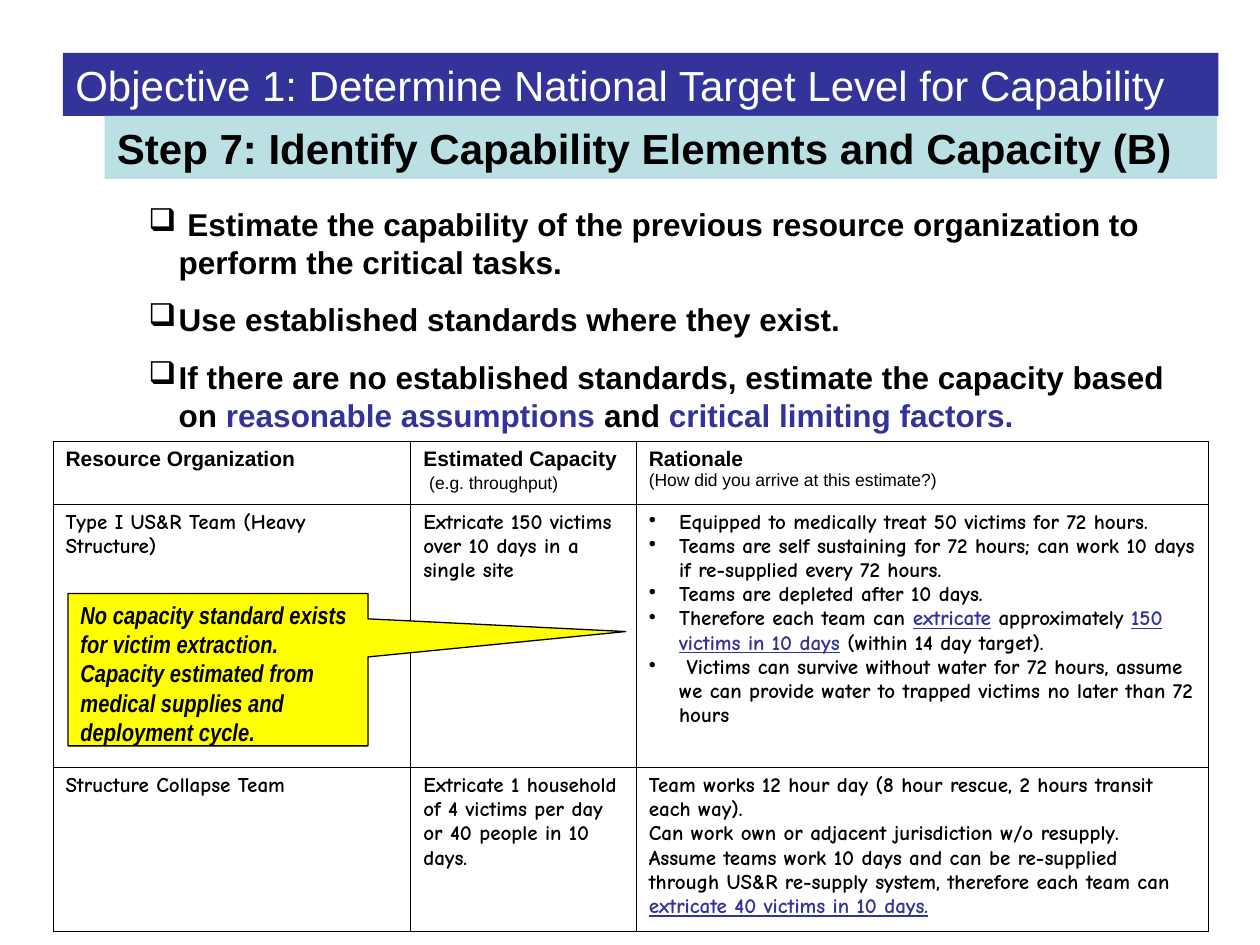
from dataclasses import dataclass

from lxml.etree import SubElement
from pptx import Presentation
from pptx.dml.color import RGBColor
from pptx.enum.shapes import MSO_SHAPE as Preset
from pptx.enum.text import MSO_ANCHOR as Anchor, PP_ALIGN as Align
from pptx.oxml.ns import qn
from pptx.util import Inches, Pt

BLACK = RGBColor(0x00, 0x00, 0x00)
WHITE = RGBColor(0xFF, 0xFF, 0xFF)
INDIGO = RGBColor(0x33, 0x33, 0x99)
PALE_BLUE = RGBColor(0xBB, 0xE0, 0xE3)
YELLOW = RGBColor(0xFF, 0xFF, 0x00)
HANG = Inches(0.24)


@dataclass
class Span:
    text: str
    size: float = 12
    font: str = "Comic Neue"
    color: RGBColor = BLACK
    bold: bool = True
    italic: bool = False
    underline: bool = False


@dataclass
class Block:
    left: float
    top: float
    width: float
    height: float
    fill: RGBColor
    span: Span
    preset: Preset = Preset.RECTANGLE
    anchor: Anchor = Anchor.MIDDLE
    outlined: bool = False
    adjustments: tuple = ()


@dataclass
class Cell:
    paragraphs: list
    bullet: str = ""


def key(text: str) -> Span:
    return Span(text, color=INDIGO, underline=True)


def heading(text: str, **style) -> Span:
    return Span(text, font="Arial", **style)


def point(text: str, **style) -> Span:
    return heading(text, size=18, **style)


def add_bullet(para, bullet: str) -> None:
    properties = para._p.get_or_add_pPr()
    properties.set("marL", str(HANG))
    properties.set("indent", str(-HANG))
    color = SubElement(properties, qn("a:buClr"))
    SubElement(color, qn("a:srgbClr"), val=str(BLACK))
    SubElement(properties, qn("a:buChar"), char=bullet)


def write(frame, paragraphs: list, *, bullet: str = "", gap: float = 0, anchor=Anchor.TOP) -> None:
    frame.word_wrap = True
    frame.vertical_anchor = anchor
    for index, spans in enumerate(paragraphs):
        para = frame.add_paragraph() if index else frame.paragraphs[0]
        para.alignment = Align.LEFT
        if index and gap:
            para.space_before = Pt(gap)
        if bullet:
            add_bullet(para, bullet)
        for span in spans:
            run = para.add_run()
            run.text = span.text
            font = run.font
            font.name, font.size = span.font, Pt(span.size)
            font.bold, font.italic, font.underline = span.bold, span.italic, span.underline
            font.color.rgb = span.color


def add_block(page, block: Block) -> None:
    box = page.shapes.add_shape(block.preset, Inches(block.left), Inches(block.top),
                                Inches(block.width), Inches(block.height))
    box.shadow.inherit = False
    box.fill.solid()
    box.fill.fore_color.rgb = block.fill
    if block.outlined:
        box.line.color.rgb = BLACK
        box.line.width = Pt(0.75)
    else:
        box.line.fill.background()
    for index, value in enumerate(block.adjustments):
        box.adjustments[index] = value
    write(box.text_frame, [[block.span]], anchor=block.anchor)


def add_borders(cell) -> None:
    properties = cell._tc.get_or_add_tcPr()
    for side in ("lnL", "lnR", "lnT", "lnB"):
        line = SubElement(properties, qn(f"a:{side}"), w=str(Pt(0.45)))
        fill = SubElement(line, qn("a:solidFill"))
        SubElement(fill, qn("a:srgbClr"), val=str(BLACK))


def add_grid(page, rows: list, widths: list, heights: list) -> None:
    table = page.shapes.add_table(len(rows), len(widths), Inches(0.42), Inches(3.5),
                                  Inches(sum(widths)), Inches(sum(heights))).table
    table.first_row = table.horz_banding = False
    for column, width in zip(table.columns, widths):
        column.width = Inches(width)
    for row, height, contents in zip(table.rows, heights, rows):
        row.height = Inches(height)
        for cell, content in zip(row.cells, contents):
            add_borders(cell)
            cell.fill.background()
            write(cell.text_frame, content.paragraphs, bullet=content.bullet)


BANNERS = [
    Block(0.5, 0.42, 9.17, 0.5, INDIGO,
          heading("Objective 1: Determine National Target Level for Capability",
                  size=24, color=WHITE, bold=False)),
    Block(0.83, 0.92, 8.83, 0.5, PALE_BLUE,
          heading("Step 7: Identify Capability Elements and Capacity (B)", size=24)),
]
CALLOUT = Block(
    0.54, 4.71, 2.38, 1.21, YELLOW,
    Span("No capacity standard exists for victim extraction. Capacity estimated from "
         "medical supplies and deployment cycle.", 14, "Arial Narrow", italic=True),
    Preset.RECTANGULAR_CALLOUT, Anchor.TOP, True, (1.36, -0.25))
GUIDANCE = [
    [point(" ", bold=False),
     point("Estimate the capability of the previous resource organization to perform the critical tasks.")],
    [point("Use established standards where they exist.")],
    [point("If there are no established standards, estimate the capacity based on "),
     point("reasonable assumptions", color=INDIGO), point(" and "),
     point("critical limiting factors.", color=INDIGO)],
]
ROWS = [
    [Cell([[heading("Resource Organization")]]),
     Cell([[heading("Estimated Capacity")],
           [heading(" ", bold=False), heading("(e.g. throughput)", size=10, bold=False)]]),
     Cell([[heading("Rationale")],
           [heading("(How did you arrive at this estimate?)", size=10, bold=False)]])],
    [Cell([[Span("Type I US&R Team (Heavy Structure)")]]),
     Cell([[Span("Extricate 150 victims over 10 days in a single site")]]),
     Cell([[Span("Equipped to medically treat 50 victims for 72 hours.")],
           [Span("Teams are self sustaining for 72 hours; can work 10 days if re-supplied every 72 hours.")],
           [Span("Teams are depleted after 10 days.")],
           [Span("Therefore each team can "), key("extricate"), Span(" approximately "),
            key("150 victims in 10 days"), Span(" (within 14 day target).")],
           [Span(" Victims can survive without water for 72 hours, assume we can provide "
                 "water to trapped victims no later than 72 hours")]], "•")],
    [Cell([[Span("Structure Collapse Team")]]),
     Cell([[Span("Extricate 1 household of 4 victims per day or 40 people in 10 days.")]]),
     Cell([[Span("Team works 12 hour day (8 hour rescue, 2 hours transit each way).")],
           [Span("Can work own or adjacent jurisdiction w/o resupply.")],
           [Span("Assume teams work 10 days and can be re-supplied through US&R re-supply "
                 "system, therefore each team can "), key("extricate 40 victims in 10 days.")]])],
]


def main() -> None:
    """Build the capability slide and save it."""
    deck = Presentation()
    deck.slide_width, deck.slide_height = Inches(10), Inches(7.5)
    page = deck.slides.add_slide(deck.slide_layouts[6])
    for banner in BANNERS:
        add_block(page, banner)
    box = page.shapes.add_textbox(Inches(1.08), Inches(1.58), Inches(8.42), Inches(1.92))
    write(box.text_frame, GUIDANCE, bullet="❑", gap=11.2)
    add_grid(page, ROWS, [2.84, 1.79, 4.54], [0.5, 2.09, 1.3])
    add_block(page, CALLOUT)
    deck.save("out.pptx")


if __name__ == "__main__":
    main()
